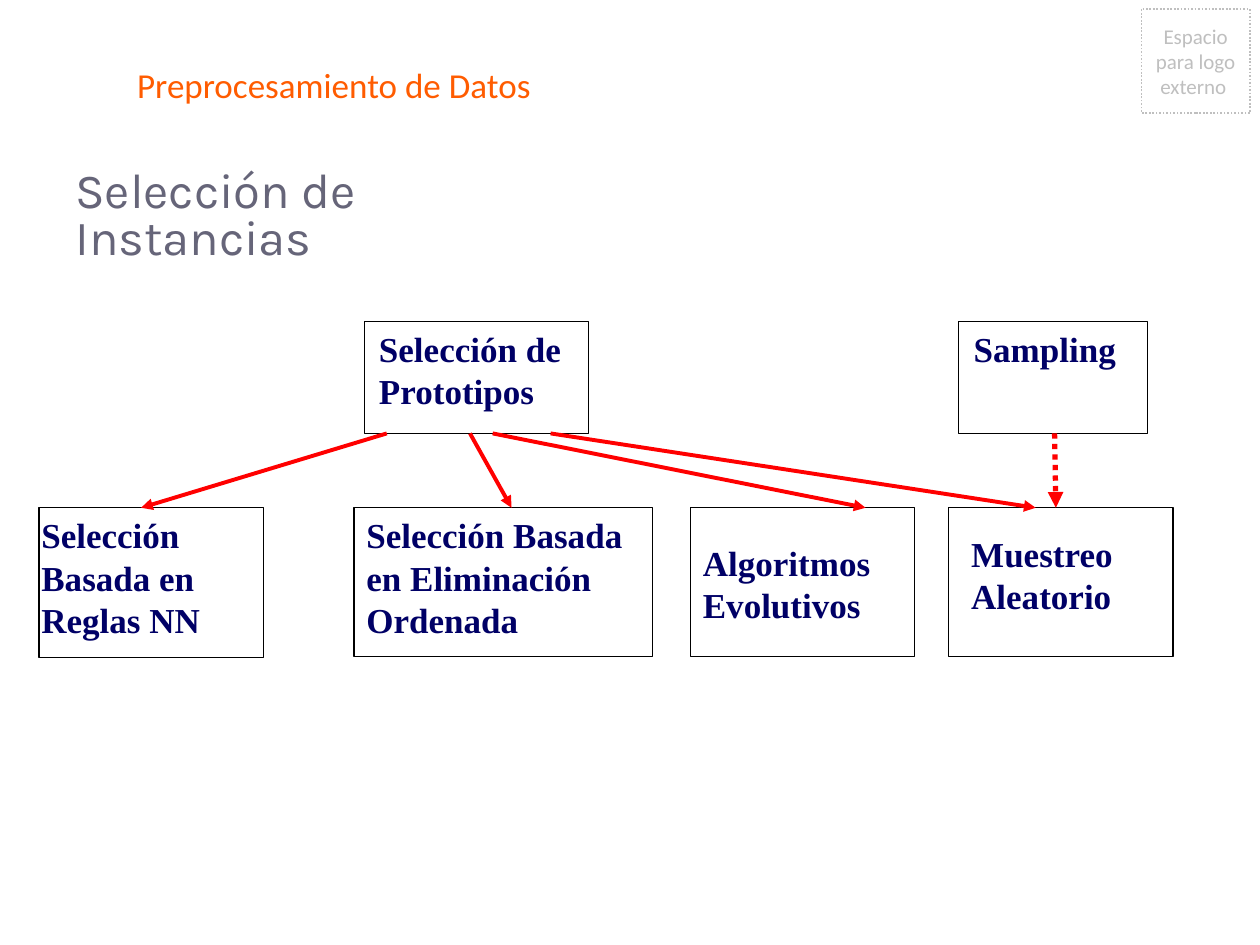
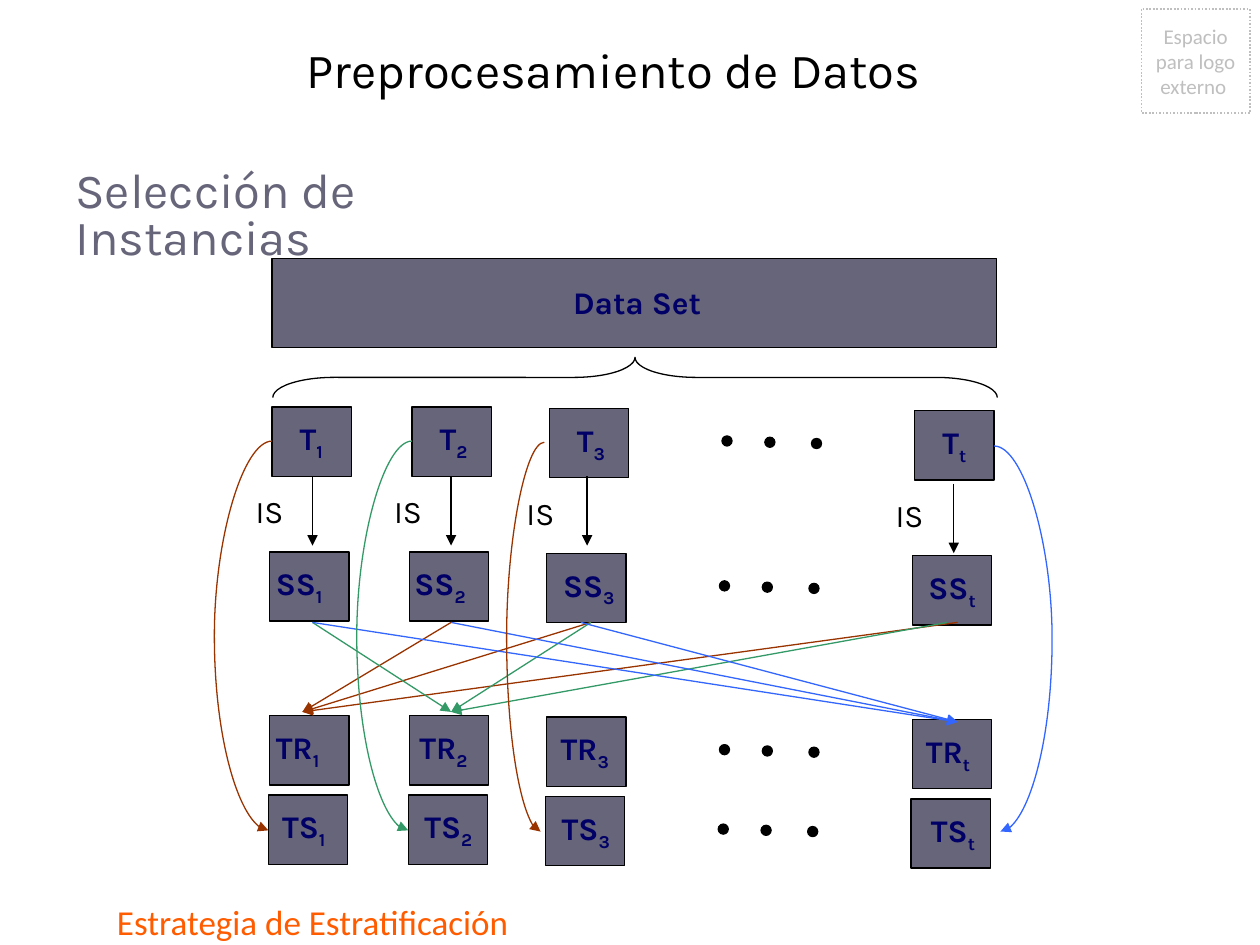
from dataclasses import dataclass

from lxml.etree import SubElement
from pptx import Presentation
from pptx.dml.color import RGBColor
from pptx.enum.dml import MSO_LINE
from pptx.enum.shapes import MSO_CONNECTOR, MSO_SHAPE
from pptx.enum.text import MSO_ANCHOR, PP_ALIGN
from pptx.oxml.ns import qn
from pptx.util import Inches, Pt


@dataclass(frozen=True)
class Theme:
    black: str = "000000"
    white: str = "FFFFFF"
    navy: str = "000066"
    slate: str = "666579"
    orange: str = "FF5C00"
    silver: str = "BFBFBF"
    red: str = "FF0000"
    brown: str = "993300"
    green: str = "339966"
    blue: str = "3366FF"
    heading_font: str = "Karla"
    title_font: str = "Calibri"
    box_font: str = "Times New Roman"
    heading_size: float = 28
    title_size: float = 20
    label_size: float = 18
    note_size: float = 12
    thin: float = 0.75
    thick: float = 2.25


def set_values(target, values):
    for name, value in values.items():
        setattr(target, name, value)


class Deck:
    def __init__(self, theme):
        self.theme = theme
        self.presentation = Presentation()
        set_values(self.presentation, {"slide_width": Inches(10), "slide_height": Inches(7.5)})
        self.slide = None

    def add_slide(self):
        theme = self.theme
        self.slide = self.presentation.slides.add_slide(self.presentation.slide_layouts[6])
        logo_space = self.shape((9.06, 0.07, 0.86, 0.83), None, line=theme.silver, width=1)
        logo_space.line.dash_style = MSO_LINE.ROUND_DOT
        self.fill_text(logo_space, "Espacio para logo externo ", theme.title_font,
                       theme.note_size, theme.silver, anchor=MSO_ANCHOR.MIDDLE,
                       align=PP_ALIGN.CENTER)

    def shape(self, place, fill, kind=MSO_SHAPE.RECTANGLE, line=None, width=None):
        shape = self.slide.shapes.add_shape(kind, *map(Inches, place))
        shape.shadow.inherit = False
        if fill:
            shape.fill.solid()
            shape.fill.fore_color.rgb = RGBColor.from_string(fill)
        else:
            shape.fill.background()
        self.style_line(shape.line, line or self.theme.black, width or self.theme.thin)
        return shape

    def style_line(self, line, color, width):
        line.color.rgb = RGBColor.from_string(color)
        line.width = Pt(width)

    def fill_text(self, shape, text, font, size, color, bold=False, subscript="",
                  anchor=MSO_ANCHOR.TOP, align=PP_ALIGN.LEFT, spacing=1.0):
        frame = shape.text_frame
        set_values(frame, {"word_wrap": True, "vertical_anchor": anchor})
        paragraph = frame.paragraphs[0]
        set_values(paragraph, {"alignment": align, "line_spacing": spacing})
        for part in filter(None, (text, subscript)):
            run = paragraph.add_run()
            run.text = part
            set_values(run.font, {"name": font, "size": Pt(size), "bold": bold})
            run.font.color.rgb = RGBColor.from_string(color)
        if subscript:
            run.font._element.set("baseline", "-25000")

    def text(self, place, text, font, size, color, **options):
        box = self.slide.shapes.add_textbox(*map(Inches, place))
        self.fill_text(box, text, font, size, color, **options)

    def title(self, place, text):
        self.text(place, text, self.theme.title_font, self.theme.title_size,
                  self.theme.orange, anchor=MSO_ANCHOR.BOTTOM)

    def heading(self):
        self.text((0.5, 1.31, 4.19, 0.47), "Selección de Instancias", self.theme.heading_font,
                  self.theme.heading_size, self.theme.slate, spacing=0.8)

    def label(self, place, text, subscript=""):
        self.text(place, text, self.theme.heading_font, self.theme.label_size,
                  self.theme.navy, bold=True, subscript=subscript)

    def arrow(self, start, end, color, width=None, dash=None, kind=MSO_CONNECTOR.STRAIGHT):
        connector = self.slide.shapes.add_connector(kind, *map(Inches, (*start, *end)))
        self.style_line(connector.line, color, width or self.theme.thin)
        if dash:
            connector.line.dash_style = dash
        SubElement(connector.line._get_or_add_ln(), qn("a:tailEnd"), type="triangle")
        SubElement(connector._element.spPr, qn("a:effectLst"))
        return connector

    def loop_arrow(self, start, end, bulge, color):
        properties = self.arrow(start, end, color, kind=MSO_CONNECTOR.CURVE)._element.spPr
        if end[0] < start[0]:
            frame = properties.find(qn("a:xfrm"))
            frame.attrib.pop("flipH")
            frame.set("rot", "10800000")
            frame.set("flipV", "1")
        bend = round((bulge - start[0]) / (end[0] - start[0]) * 100000)
        guides = properties.find(qn("a:prstGeom")).get_or_add_avLst()
        SubElement(guides, qn("a:gd"), name="adj1", fmla=f"val {bend}")


def build_selection_tree(deck):
    theme = deck.theme
    deck.add_slide()
    deck.title((0.99, 0.06, 8.01, 0.83), "Preprocesamiento de Datos")
    parent_bottom, child_top = 3.44, 4.03
    boxes = [
        ((2.89, 2.55, 1.78, 0.89), (2.91, 2.55, 2.06, 0.89), "Selección de Prototipos"),
        ((7.61, 2.55, 1.5, 0.89), (7.63, 2.55, 1.5, 0.89), "Sampling"),
        ((0.31, child_top, 1.78, 1.19), (0.23, child_top, 1.78, 1.19),
         "Selección Basada en Reglas NN"),
        ((2.81, child_top, 2.37, 1.18), (2.81, child_top, 2.37, 1.18),
         "Selección Basada en Eliminación Ordenada"),
        ((5.48, child_top, 1.78, 1.18), (5.48, 4.25, 1.78, 0.89), "Algoritmos Evolutivos"),
        ((7.53, child_top, 1.78, 1.18), (7.61, 4.18, 1.56, 0.86), "Muestreo Aleatorio"),
    ]
    for box, text_place, text in boxes:
        deck.shape(box, theme.white)
        deck.text(text_place, text, theme.box_font, theme.title_size, theme.navy, bold=True)
    for start, end in [(3.07, 1.12), (3.73, 4.06), (3.91, 6.87), (4.37, 8.22)]:
        deck.arrow((start, parent_bottom), (end, child_top), theme.red, theme.thick)
    deck.arrow((8.37, parent_bottom), (8.38, child_top), theme.red, 3, MSO_LINE.ROUND_DOT)
    deck.heading()


def build_stratification(deck):
    theme = deck.theme
    deck.add_slide()
    deck.title((0.83, 6.8, 7.98, 0.73), "Estrategia de Estratificación")
    deck.shape((2.16, 2.05, 5.75, 0.71), theme.slate)
    deck.label((4.45, 2.2, 1.5, 0.4), "Data Set")
    brace = deck.shape((4.88, 0.12, 0.32, 5.75), None, MSO_SHAPE.RIGHT_BRACE)
    brace.rotation = 270
    brace.adjustments[0] = 1.516

    columns = [("1", 2.16, 0), ("2", 3.27, 0), ("3", 4.36, 0.01), ("t", 7.26, 0.03)]
    rows = [
        ("T", 3.23, 0, (2.28, 3.39, 4.48, 7.38)),
        ("SS", 4.38, -0.02, (2.09, 3.19, 4.37, 7.27)),
        ("TR", 5.68, -0.02, (2.09, 3.23, 4.35, 7.25)),
        ("TS", 6.31, -0.03, (2.14, 3.27, 4.36, 7.29)),
    ]
    for name, top, shift, label_lefts in rows:
        for (subset, left, drop), label_left in zip(columns, label_lefts):
            deck.shape((left + shift, top + drop, 0.63, 0.55), theme.slate)
            deck.label((label_left, top + drop + 0.05, 0.72, 0.4), name, subset)
        for index, left in enumerate((5.73, 6.07, 6.44)):
            deck.shape((left + shift, top + 0.23 + index * 0.01, 0.08, 0.08),
                       theme.black, MSO_SHAPE.OVAL)

    steps = [(2.48, 3.78, 1.93), (3.58, 3.78, 3.03), (4.66, 3.78, 4.08), (7.57, 3.84, 7.01)]
    for (center, top, label_left), (_, _, drop) in zip(steps, columns):
        deck.arrow((center, top), (center, top + 0.55), theme.black)
        deck.text((label_left, 3.86 + drop, 0.71, 0.4), "IS", theme.heading_font,
                  theme.label_size, theme.black)

    subset_bottom = 4.94
    merges = [
        (theme.brown, (2.4, 5.65), (3.58, 4.69, 7.6)),
        (theme.green, (3.58, 5.65), (2.48, 4.69, 7.52)),
        (theme.blue, (7.6, 5.73), (2.48, 3.58, 4.61)),
    ]
    for color, target, sources in merges:
        for source in sources:
            deck.arrow((source, subset_bottom), target, color)

    loops = [
        ((2.16, 3.5), (2.13, 6.59), 1.7, theme.brown),
        ((3.27, 3.5), (3.24, 6.59), 2.83, theme.green),
        ((4.32, 3.51), (4.29, 6.6), 4.02, theme.brown),
        ((7.89, 3.54), (7.94, 6.6), 8.35, theme.blue),
    ]
    for loop in loops:
        deck.loop_arrow(*loop)

    deck.text((0.88, 0.12, 7.98, 0.92), "Preprocesamiento de Datos", theme.heading_font,
              theme.heading_size, theme.black, anchor=MSO_ANCHOR.MIDDLE,
              align=PP_ALIGN.CENTER, spacing=0.9)
    deck.heading()


def main():
    deck = Deck(Theme())
    build_selection_tree(deck)
    build_stratification(deck)
    deck.presentation.save("out.pptx")


if __name__ == "__main__":
    main()
